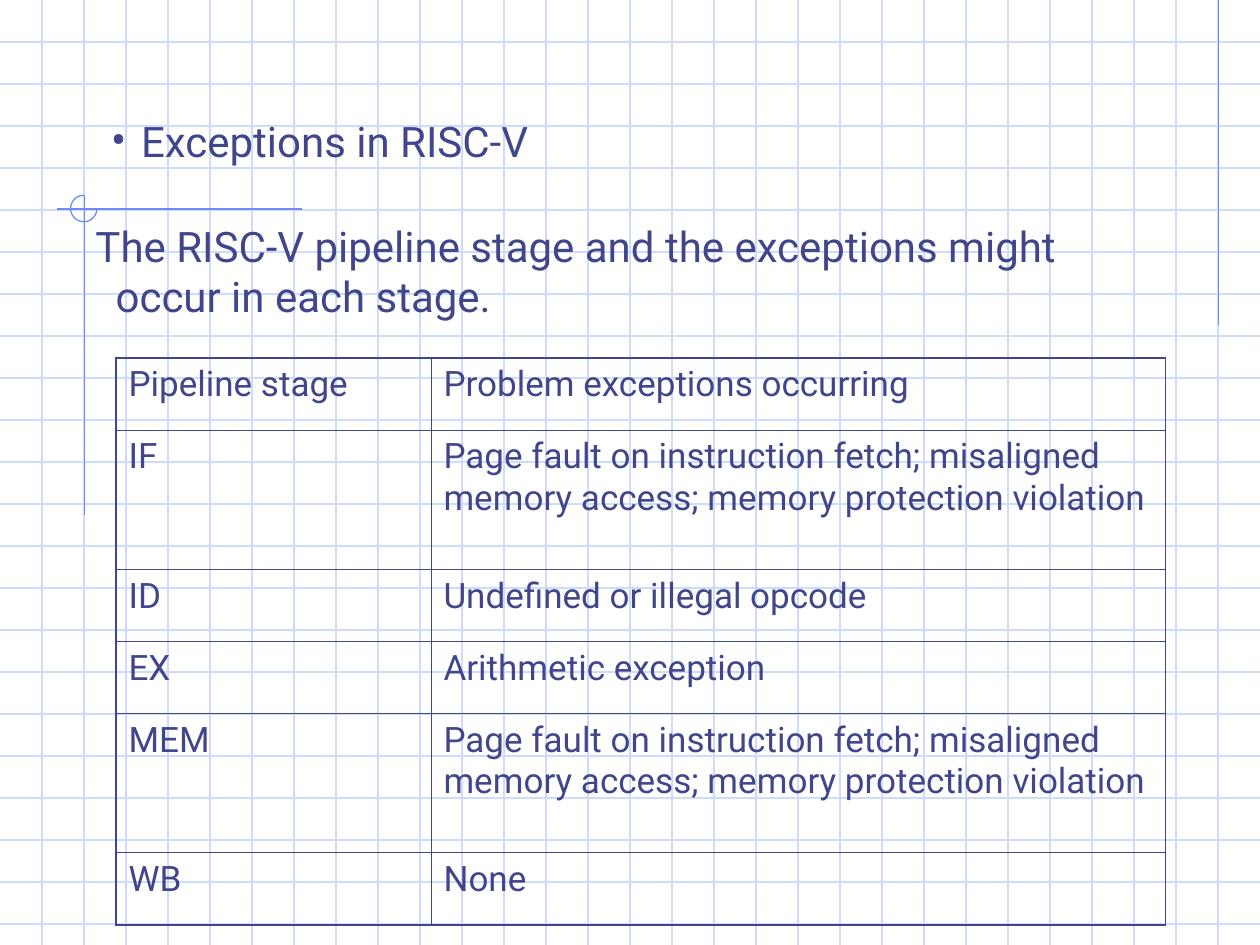
from lxml import etree
from pptx import Presentation
from pptx.dml.color import RGBColor
from pptx.enum import shapes, text
from pptx.oxml import ns
from pptx.util import Inches, Pt

COLORS = {"grid": "CFDBFD", "accent": "6F89F7", "ink": "40458C"}
FONT = "Roboto"
WIDTH, HEIGHT, STEP = 10, 7.5, 1 / 3
HEADING = "Exceptions in RISC-V"
INTRO = [
    ("The RISC-V pipeline stage and the exceptions might", 0),
    ("occur in each stage.", 0.16),
]
MEMORY_FAULTS = (
    "Page fault on instruction fetch; misaligned "
    "memory access; memory protection violation"
)
STAGES = [
    ("Pipeline stage", "Problem exceptions occurring", 0.57),
    ("IF", MEMORY_FAULTS, 1.1),
    ("ID", "Undefined or illegal opcode", 0.57),
    ("EX", "Arithmetic exception", 0.57),
    ("MEM", MEMORY_FAULTS, 1.1),
    ("WB", "None", 0.57),
]
COLUMNS = [2.5, 5.83]
TABLE_HEIGHT = 4.5
ACCENT_LINES = [
    (9.67, 0, 9.67, 2.58),
    (2.4, 1.66, 0.45, 1.66),
    (0.67, 1.55, 0.67, 4.09),
]


def color(name):
    return RGBColor.from_string(COLORS[name])


def child(parent, tag, **attributes):
    return etree.SubElement(parent, ns.qn(tag), attributes)


def add_line(page, ends, name):
    line = page.shapes.add_connector(
        shapes.MSO_CONNECTOR.STRAIGHT, *[Inches(value) for value in ends]
    )
    line.line.color.rgb = color(name)
    line.line.width = Pt(0.75)
    child(line._element.spPr, "a:effectLst")


def write(para, words, size):
    para.alignment = text.PP_ALIGN.LEFT
    span = para.add_run()
    span.text = words
    span.font.name = FONT
    span.font.size = Pt(size)
    span.font.color.rgb = color("ink")


def set_indent(para, left, hanging=0):
    properties = para._p.get_or_add_pPr()
    properties.set("marL", str(Inches(left)))
    properties.set("indent", str(-Inches(hanging)))
    return properties


def add_background(page):
    for row in range(1, int(HEIGHT / STEP) + 1):
        add_line(page, (0, row * STEP, WIDTH, row * STEP), "grid")
    for column in range(1, round(WIDTH / STEP)):
        add_line(page, (column * STEP, 0, column * STEP, HEIGHT), "grid")
    for ends in ACCENT_LINES:
        add_line(page, ends, "accent")
    arc = page.shapes.add_shape(
        shapes.MSO_SHAPE.ARC, Inches(0.56), Inches(1.55), Inches(0.21), Inches(0.21)
    )
    arc.adjustments[0] = 0
    arc.adjustments[1] = 162
    arc.shadow.inherit = False
    arc.fill.background()
    arc.line.color.rgb = color("accent")
    arc.line.width = Pt(0.75)


def add_heading(page):
    title = page.shapes.title
    title.left, title.top = Inches(0.78), Inches(0.87)
    title.width, title.height = Inches(3.6), Inches(0.5)
    frame = title.text_frame
    frame.margin_right = 0
    frame.word_wrap = False
    frame.auto_size = text.MSO_AUTO_SIZE.NONE
    frame.vertical_anchor = text.MSO_ANCHOR.TOP
    para = frame.paragraphs[0]
    properties = set_indent(para, 0.24, 0.24)
    child(child(properties, "a:buClr"), "a:srgbClr", val=COLORS["ink"])
    child(properties, "a:buSzPct", val="110000")
    child(properties, "a:buFont", typeface=FONT)
    child(properties, "a:buChar", char="•")
    write(para, HEADING, 24)
    page.shapes._spTree.append(title._element)


def make_border(side, width):
    line = etree.Element(ns.qn(f"a:ln{side}"), w=str(Pt(width)))
    child(child(line, "a:solidFill"), "a:srgbClr", val=COLORS["ink"])
    return line


def add_stage_table(page):
    scale = TABLE_HEIGHT / sum(stage[-1] for stage in STAGES)
    table = page.shapes.add_table(
        len(STAGES), len(COLUMNS), Inches(0.92), Inches(2.84),
        Inches(sum(COLUMNS)), Inches(TABLE_HEIGHT),
    ).table
    table.first_row = table.horz_banding = False
    for column, width in zip(table.columns, COLUMNS):
        column.width = Inches(width)
    last_row, last_column = len(STAGES) - 1, len(COLUMNS) - 1
    for y, (*words, height) in enumerate(STAGES):
        table.rows[y].height = Inches(height * scale)
        for x, label in enumerate(words):
            cell = table.cell(y, x)
            cell.fill.background()
            write(cell.text_frame.paragraphs[0], label, 20)
            outer = {"L": x == 0, "R": x == last_column, "T": y == 0, "B": y == last_row}
            properties = cell._tc.get_or_add_tcPr()
            for position, (side, is_outer) in enumerate(outer.items()):
                border = make_border(side, 1.08 if is_outer else 0.45)
                properties.insert(position, border)


def add_intro(page):
    box = page.shapes.add_textbox(Inches(0.66), Inches(1.7), Inches(8.33), Inches(0.9))
    frame = box.text_frame
    frame.word_wrap = False
    for index, (words, indent) in enumerate(INTRO):
        para = frame.add_paragraph() if index else frame.paragraphs[0]
        set_indent(para, indent)
        write(para, words, 24)


def main():
    """Build the slide on RISC-V pipeline exceptions."""
    deck = Presentation()
    deck.slide_width, deck.slide_height = Inches(WIDTH), Inches(HEIGHT)
    page = deck.slides.add_slide(deck.slide_layouts.get_by_name("Title Only"))
    add_background(page)
    add_heading(page)
    add_stage_table(page)
    add_intro(page)
    deck.save("out.pptx")


if __name__ == "__main__":
    main()
